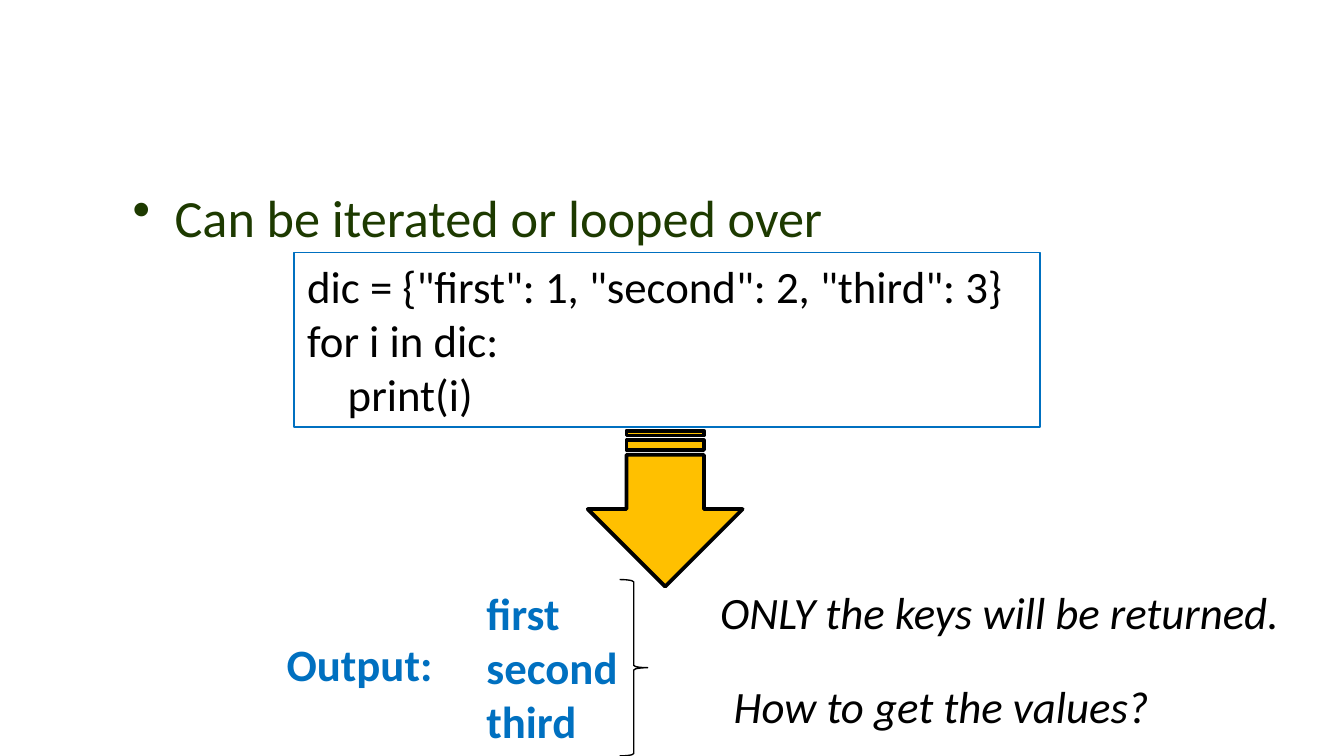
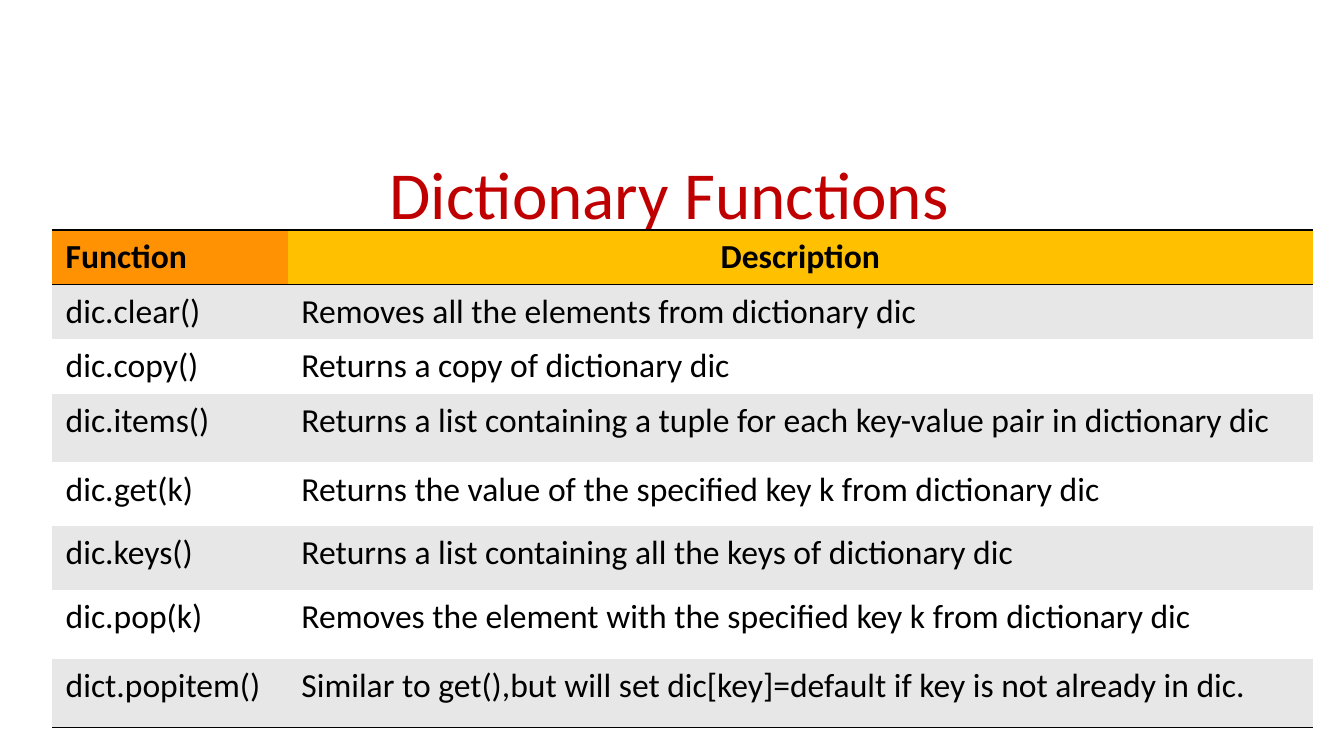
import dataclasses

import pptx
import pptx.dml.color
import pptx.enum.shapes
import pptx.enum.text
import pptx.oxml
import pptx.oxml.ns
import pptx.util
from lxml import etree

Pt = pptx.util.Pt
RGB = pptx.dml.color.RGBColor.from_string
Shape = pptx.enum.shapes.MSO_SHAPE
Align = pptx.enum.text.PP_ALIGN
AutoSize = pptx.enum.text.MSO_AUTO_SIZE
qn = pptx.oxml.ns.qn


@dataclasses.dataclass(frozen=True)
class Theme:
    font: str = "Calibri"
    title: str = "C00000"
    bullet: str = "1D3A00"
    accent: str = "0070C0"
    ink: str = "000000"
    arrow: str = "FFC000"
    header_fills: tuple = ("FE9202", "FFC000")
    row_fills: tuple = ("E7E7E7", "FFFFFF")
    title_size: int = 36
    bullet_size: int = 28
    body_size: int = 24
    table_size: int = 18
    thin: float = 0.75
    rule: float = 0.96
    heavy: float = 2


theme = Theme()


def write(frame, lines, size, color, bold=False, italic=False, align=Align.LEFT):
    for index, line in enumerate(lines):
        para = frame.add_paragraph() if index else frame.paragraphs[0]
        para.alignment = align
        span = para.add_run()
        span.text = line
        span.font.name = theme.font
        span.font.size = Pt(size)
        span.font.bold = bold
        span.font.italic = italic
        span.font.color.rgb = RGB(color)


def set_rule(cell, side, visible):
    """Show or clear the border on one side of a cell ("T" or "B"), before its fill is set."""
    border = etree.SubElement(cell._tc.get_or_add_tcPr(), qn(f"a:ln{side}"), w=str(Pt(theme.rule)))
    if visible:
        fill = etree.SubElement(border, qn("a:solidFill"))
        etree.SubElement(fill, qn("a:srgbClr"), val=theme.ink)
    else:
        etree.SubElement(border, qn("a:noFill"))


deck = pptx.Presentation()
deck.slide_width, deck.slide_height = Pt(720), Pt(405)
title_only, blank = deck.slide_layouts[5], deck.slide_layouts[6]

# Slide 1: looping over a dictionary
page = deck.slides.add_slide(blank)

box = page.shapes.add_textbox(Pt(28), Pt(95.6), Pt(650), Pt(240))
box.text_frame.word_wrap = True
properties = box.text_frame.paragraphs[0]._p.get_or_add_pPr()
properties.set("marL", str(Pt(58.5)))
properties.set("indent", str(Pt(-22.5)))
bullet_color = etree.SubElement(properties, qn("a:buClr"))
etree.SubElement(bullet_color, qn("a:srgbClr"), val=theme.bullet)
etree.SubElement(properties, qn("a:buChar"), char="•")
write(box.text_frame, ["Can be iterated or looped over"], theme.bullet_size, theme.bullet)

code = page.shapes.add_shape(Shape.RECTANGLE, Pt(157.5), Pt(135.2), Pt(399.7), Pt(93.6))
code.shadow.inherit = False
code.fill.background()
code.line.color.rgb = RGB(theme.accent)
code.line.width = Pt(theme.thin)
code.text_frame.word_wrap = True
code_lines = ['dic = {"first": 1, "second": 2, "third": 3}', "for i in dic:", "    print(i)"]
write(code.text_frame, code_lines, theme.body_size, theme.ink)

arrow = page.shapes.add_shape(Shape.STRIPED_RIGHT_ARROW, Pt(314.6), Pt(231), Pt(83.5), Pt(83))
arrow.rotation = 90
arrow.shadow.inherit = False
arrow.fill.solid()
arrow.fill.fore_color.rgb = RGB(theme.arrow)
arrow.line.color.rgb = RGB(theme.ink)
arrow.line.width = Pt(theme.heavy)

output_style = {"color": theme.accent, "bold": True}
remark_style = {"color": theme.ink, "italic": True}
labels = [
    (146.5, 337.5, 94, 36, ["Output:"], output_style),
    (386, 360, 237, 36, ["How to get the values?"], remark_style),
    (253.5, 310.5, 84.5, 93.5, ["first", "second", "third"], output_style),
    (378.7, 309.5, 317, 36, ["ONLY the keys will be returned."], remark_style),
]
for left, top, width, height, lines, style in labels:
    label = page.shapes.add_textbox(Pt(left), Pt(top), Pt(width), Pt(height))
    label.text_frame.word_wrap = False
    label.text_frame.auto_size = AutoSize.SHAPE_TO_FIT_TEXT
    write(label.text_frame, lines, theme.body_size, **style)

brace = page.shapes.add_shape(Shape.RIGHT_BRACE, Pt(332), Pt(310.5), Pt(15), Pt(94.5))
brace.shadow.inherit = False
brace.fill.background()
brace.line.color.rgb = RGB(theme.ink)
brace.line.width = Pt(theme.thin)

# Slide 2: table of dictionary functions
page = deck.slides.add_slide(title_only)
title = page.shapes.title
title.left, title.top, title.width, title.height = Pt(33.8), Pt(73.2), Pt(649.5), Pt(60.5)
title.text_frame.auto_size = AutoSize.NONE
title.text_frame.vertical_anchor = pptx.enum.text.MSO_ANCHOR.MIDDLE
write(title.text_frame, ["Dictionary Functions"], theme.title_size, theme.title, align=Align.CENTER)

functions = [
    ("Function", "Description"),
    ("dic.clear()", "Removes all the elements from dictionary dic"),
    ("dic.copy()", "Returns a copy of dictionary dic"),
    ("dic.items()", "Returns a list containing a tuple for each key-value pair in dictionary dic"),
    ("dic.get(k)", "Returns the value of the specified key k from dictionary dic"),
    ("dic.keys()", "Returns a list containing all the keys of dictionary dic"),
    ("dic.pop(k)", "Removes the element with the specified key k from dictionary dic"),
    ("dict.popitem()", "Similar to get(),but will set dic[key]=default if key is not already in dic."),
]
column_widths = [126.3, 549]
row_heights = [29.2, 29.2, 29.2, 36.8, 34.2, 34.2, 36.8, 36.8]
table = page.shapes.add_table(
    len(functions), len(column_widths),
    Pt(28), Pt(123.3), Pt(sum(column_widths)), Pt(sum(row_heights)),
).table
table.first_row = table.horz_banding = False
# The "No Style, No Grid" table style
table._tbl.tblPr.find(qn("a:tableStyleId")).text = "{2D5ABB26-0587-4C30-8999-92F81FD0307C}"
for column, width in zip(table.columns, column_widths):
    column.width = Pt(width)
for row, height in zip(table.rows, row_heights):
    row.height = Pt(height)

last_row = len(functions) - 1
for row_index, texts in enumerate(functions):
    is_header = row_index == 0
    for column_index, text in enumerate(texts):
        cell = table.cell(row_index, column_index)
        set_rule(cell, "T", visible=row_index <= 1)
        set_rule(cell, "B", visible=row_index in (0, last_row))
        cell.fill.solid()
        fill = theme.header_fills[column_index] if is_header else theme.row_fills[(row_index - 1) % 2]
        cell.fill.fore_color.rgb = RGB(fill)
        align = Align.CENTER if is_header and column_index == 1 else Align.LEFT
        write(cell.text_frame, [text], theme.table_size, theme.ink, bold=is_header, align=align)

deck.save("out.pptx")
